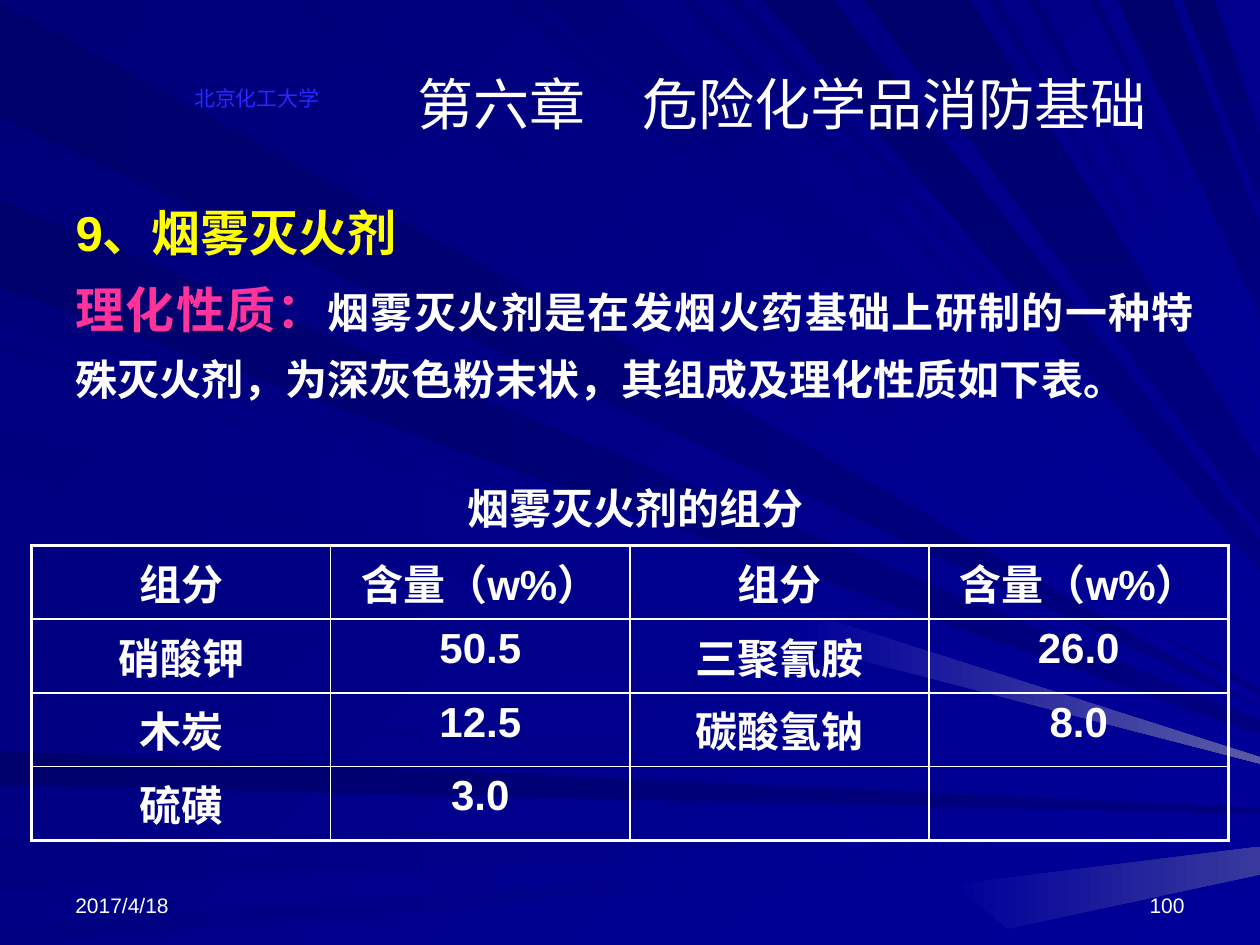
from lxml.etree import SubElement
from pptx import Presentation
from pptx.dml.color import RGBColor
from pptx.enum.text import MSO_ANCHOR, MSO_AUTO_SIZE, PP_ALIGN
from pptx.oxml.ns import qn
from pptx.util import Inches, Pt

COLORS = {
    "white": "FFFFFF",
    "yellow": "FFFF00",
    "pink": "FF3399",
    "violet": "2929FF",
    "midnight": "00006D",
    "night": "000078",
    "navy": "000080",
    "blue": "000099",
    "gleam": "39399E",
    "shine": "5A5AA6",
}

LEFT_DARK = [(0.02, 0.93), (1.59, 2.28), (5.96, 6.23)]
LEFT_LIGHT = [(2.58, 2.7), (2.78, 3.42), (3.74, 4.37), (5.52, 5.6), (6.65, 7.04), (7.35, 7.5)]
TOP_DARK = [(6.06, 6.61), (6.86, 7.7), (8.87, 9.3), (9.39, 9.64)]
TOP_LIGHT = [
    (0.26, 1.01), (2.25, 2.47), (3.98, 4.16), (4.26, 4.92), (5.4, 5.52),
    (5.77, 5.88), (7.85, 7.92), (8.15, 8.24), (8.65, 8.72),
]
GLEAM = [(7.56, 7.02), (10, 6.72), (10, 6.94), (8, 7.37)]
SHINE = [(6.37, 4.85), (10, 6.01), (10, 6.06), (6.33, 5.11)]

COMPONENTS = [
    ["组分", "含量（w%）", "组分", "含量（w%）"],
    ["硝酸钾", "50.5", "三聚氰胺", "26.0"],
    ["木炭", "12.5", "碳酸氢钠", "8.0"],
    ["硫磺", "3.0", "", ""],
]


def rgb(name):
    """Return the named colour."""
    return RGBColor.from_string(COLORS[name])


def paint(fill, start, end, angle):
    """Fill with a gradient of two named colours at a clockwise angle."""
    fill.gradient()
    fill.gradient_angle = (360 - angle) % 360
    for stop, name in zip(fill.gradient_stops, (start, end)):
        stop.color.rgb = rgb(name)


def add_polygon(group, points, start, end, angle):
    """Add one closed gradient outline to the group."""
    corners = [(Inches(x), Inches(y)) for x, y in points]
    builder = group.shapes.build_freeform(*corners[0])
    builder.add_line_segments(corners[1:], close=True)
    ray = builder.convert_to_shape()
    ray.shadow.inherit = False
    ray.line.fill.background()
    paint(ray.fill, start, end, angle)


def reach_right_edge(point, focus):
    """Return where the line from a point to the focus meets the right edge."""
    share = (10 - point[0]) / (focus[0] - point[0])
    return 10, point[1] + share * (focus[1] - point[1])


def add_rays(page):
    """Draw the backdrop rays, which run towards a focus beyond the right edge."""
    group = page.shapes.add_group_shape()
    families = [
        (LEFT_DARK, False, "midnight", "navy", 0),
        (TOP_LIGHT, True, "night", "blue", 45),
        (LEFT_LIGHT, False, "navy", "blue", 0),
        (TOP_DARK, True, "midnight", "navy", 90),
    ]
    for spans, from_top, start, end, angle in families:
        focus = (11.9, 6.7) if from_top else (11.9, 6.5)
        for span in spans:
            near, far = [(value, 0) if from_top else (0, value) for value in span]
            points = [near, far, reach_right_edge(far, focus), reach_right_edge(near, focus)]
            add_polygon(group, points, start, end, angle)
    add_polygon(group, GLEAM, "blue", "gleam", 0)
    add_polygon(group, SHINE, "blue", "shine", 0)


def place(box, left, top, width, height, anchor):
    """Set the position and text frame of a box."""
    box.left, box.top = Inches(left), Inches(top)
    box.width, box.height = Inches(width), Inches(height)
    frame = box.text_frame
    frame.word_wrap = True
    frame.auto_size = MSO_AUTO_SIZE.NONE
    frame.vertical_anchor = anchor
    return frame


def add_span(para, text, size, color="white", bold=False):
    """Append one formatted run to a paragraph."""
    span = para.add_run()
    span.text = text
    span.font.name = "Arial"
    span.font.size = Pt(size)
    span.font.bold = bold
    span.font.color.rgb = rgb(color)


def add_label(page, text, position, align, color="white"):
    """Add a small text box whose text sits at the bottom."""
    box = page.shapes.add_textbox(0, 0, 0, 0)
    para = place(box, *position, MSO_ANCHOR.BOTTOM).paragraphs[0]
    para.alignment = align
    add_span(para, text, 12, color)


def fill_title(title):
    """Write the chapter title in its placeholder."""
    para = place(title, 2.92, 0.3, 6.58, 1.03, MSO_ANCHOR.MIDDLE).paragraphs[0]
    para.alignment = PP_ALIGN.CENTER
    add_span(para, "第六章　危险化学品消防基础", 32)


def fill_body(body):
    """Write the section text and the table caption in the body placeholder."""
    frame = place(body, 0.5, 1.42, 9.08, 2.84, MSO_ANCHOR.TOP)
    description = "烟雾灭火剂是在发烟火药基础上研制的一种特殊灭火剂，为深灰色粉末状，其组成及理化性质如下表。"
    content = [
        (PP_ALIGN.JUSTIFY, 0, [("9、烟雾灭火剂", 28, "yellow")]),
        (PP_ALIGN.JUSTIFY, 0, [("理化性质：", 28, "pink"), (description, 24, "white")]),
        (PP_ALIGN.CENTER, 36.5, [("烟雾灭火剂的组分", 24, "white")]),
    ]
    for index, (align, space, spans) in enumerate(content):
        para = frame.add_paragraph() if index else frame.paragraphs[0]
        properties = para._p.get_or_add_pPr()
        properties.set("marL", "0")
        properties.set("indent", "0")
        SubElement(properties, qn("a:buNone"))
        para.alignment = align
        para.line_spacing = 1.3
        para.space_before = Pt(space)
        for text, size, color in spans:
            add_span(para, text, size, color, bold=True)


def add_border(cell, side, width):
    """Draw one white border of a cell."""
    line = SubElement(cell._tc.get_or_add_tcPr(), qn("a:ln" + side), w=str(Pt(width)))
    SubElement(SubElement(line, qn("a:solidFill")), qn("a:srgbClr"), val=COLORS["white"])


def add_component_table(page):
    """Add the table of components with a heavier outer frame."""
    count, columns = len(COMPONENTS), len(COMPONENTS[0])
    area = (Inches(0.25), Inches(4.33), Inches(9.5), Inches(2.34))
    table = page.shapes.add_table(count, columns, *area).table
    table.first_row = table.horz_banding = False
    for i, row in enumerate(COMPONENTS):
        for j, text in enumerate(row):
            cell = table.cell(i, j)
            outer = {"L": j == 0, "R": j == columns - 1, "T": i == 0, "B": i == count - 1}
            for side, is_outer in outer.items():
                add_border(cell, side, 2.25 if is_outer else 1)
            cell.fill.background()
            if text:
                para = cell.text_frame.paragraphs[0]
                para.alignment = PP_ALIGN.CENTER
                add_span(para, text, 24, bold=True)


def main():
    """Build and save the slide."""
    deck = Presentation()
    deck.slide_width, deck.slide_height = Inches(10), Inches(7.5)
    page = deck.slides.add_slide(deck.slide_layouts[1])
    paint(page.background.fill, "night", "blue", 45)
    title, body = page.placeholders
    add_rays(page)
    add_label(page, "2017/4/18", (0.5, 6.83, 2.33, 0.5), PP_ALIGN.LEFT)
    add_label(page, "100", (7.17, 6.83, 2.33, 0.5), PP_ALIGN.RIGHT)
    add_component_table(page)
    fill_body(body)
    fill_title(title)
    for box in (body, title):
        box.element.getparent().append(box.element)
    add_label(page, "北京化工大学", (1.33, 0.58, 1.42, 0.35), PP_ALIGN.CENTER, "violet")
    deck.save("out.pptx")


if __name__ == "__main__":
    main()
